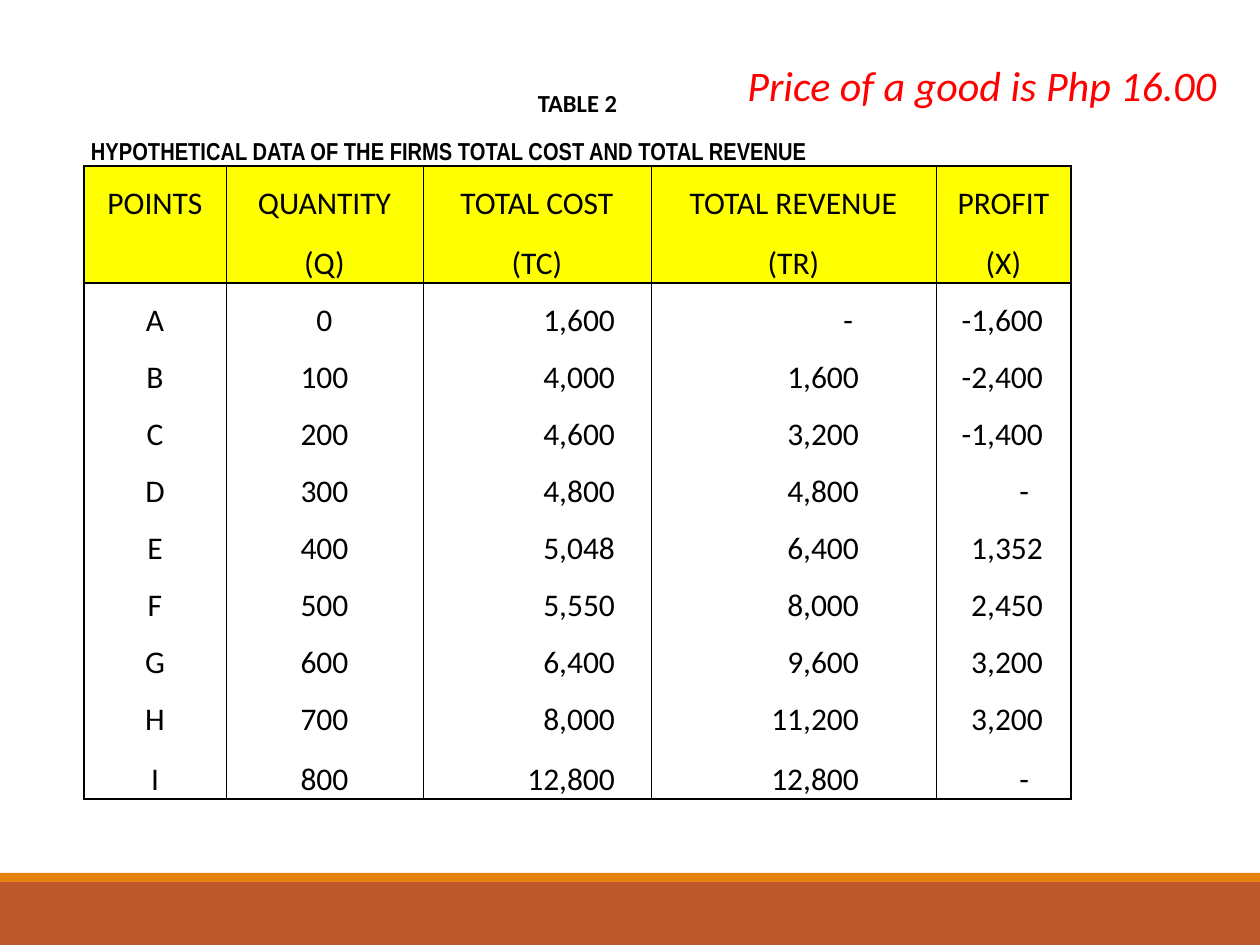
import pptx
import pptx.dml.color
import pptx.enum.shapes
import pptx.enum.text
import pptx.oxml
import pptx.oxml.ns
import pptx.util

ALIGN = pptx.enum.text.PP_ALIGN
PX = 914400 // 126

THEME = {
    "ink": "000000", "header": "FFFF00", "price": "FF0000",
    "band": "BD582C", "stripe": "E48312",
    "font": "Calibri", "narrow": "Arial Narrow",
    "caption_size": 14, "table_size": 18, "price_size": 24,
    "thin": 0.5, "thick": 1,
}

PRICE = "Price of a good is Php 16.00"
CAPTIONS = [
    ("TABLE 2", THEME["font"], ALIGN.CENTER, 1),
    ("HYPOTHETICAL DATA OF THE FIRMS TOTAL COST AND TOTAL REVENUE",
     THEME["narrow"], ALIGN.LEFT, 7),
]
HEADERS = [
    ["POINTS", "QUANTITY", "TOTAL COST", "TOTAL REVENUE", "PROFIT"],
    ["", "(Q)", "(TC)", "(TR)", "(X)"],
]
RECORDS = [
    ["A", "0", "1,600", "-", "-1,600"],
    ["B", "100", "4,000", "1,600", "-2,400"],
    ["C", "200", "4,600", "3,200", "-1,400"],
    ["D", "300", "4,800", "4,800", "-"],
    ["E", "400", "5,048", "6,400", "1,352"],
    ["F", "500", "5,550", "8,000", "2,450"],
    ["G", "600", "6,400", "9,600", "3,200"],
    ["H", "700", "8,000", "11,200", "3,200"],
    ["I", "800", "12,800", "12,800", "-"],
]

# Lengths in px: left, top, width, height
TABLE_BOX = (84, 73, 987, 727)
PRICE_BOX = (735, 53, 499, 63)
BARS = [((0, 882, 1260, 63), "band"), ((0, 873, 1260, 9), "stripe")]
COLUMN_WIDTHS = [142, 197, 228, 285, 135]
ROW_HEIGHTS = [46, 47, 57, 60] + [57] * 8 + [60]
FIGURE_INSETS = {2: 36, 3: 77, 4: 28}  # right inset of each figure column
DASH_INSETS = {3: 83, 4: 42}
FIRST_HEADER = len(CAPTIONS)
FIRST_RECORD = FIRST_HEADER + len(HEADERS)
LAST_ROW = len(ROW_HEIGHTS) - 1
LAST_COLUMN = len(COLUMN_WIDTHS) - 1


def emu(lengths):
    return [length * PX for length in lengths]


def colour(name):
    return pptx.dml.color.RGBColor.from_string(THEME[name])


def write(frame, text, font, size, ink="ink", align=ALIGN.LEFT, **formats):
    para = frame.paragraphs[0]
    para.alignment = align
    if not text:
        para.font.size = pptx.util.Pt(size)
        return
    span = para.add_run()
    span.text = text
    formats = {"name": font, "size": pptx.util.Pt(size), "bold": False, **formats}
    for key, value in formats.items():
        setattr(span.font, key, value)
    span.font.color.rgb = colour(ink)


def set_borders(cell, row, column):
    """Rule the columns thinly; frame the table and its header thickly."""
    thin, thick = THEME["thin"], THEME["thick"]
    in_grid = row >= FIRST_HEADER
    widths = {
        "L": in_grid and (thick if column == 0 else thin),
        "R": in_grid and (thick if column == LAST_COLUMN else thin),
        "T": row in (FIRST_HEADER, FIRST_RECORD) and thick,
        "B": row in (FIRST_HEADER - 1, FIRST_RECORD - 1, LAST_ROW) and thick,
    }
    properties = cell._tc.get_or_add_tcPr()
    for side, width in widths.items():
        paint = (f'<a:solidFill><a:srgbClr val="{THEME["ink"]}"/></a:solidFill>'
                 if width else "<a:noFill/>")
        properties.append(pptx.oxml.parse_xml(
            f'<a:ln{side} {pptx.oxml.ns.nsdecls("a")} w="{int(width * 12700)}">'
            f"{paint}</a:ln{side}>"))


def format_cell(cell, row, column):
    set_borders(cell, row, column)
    if FIRST_HEADER <= row < FIRST_RECORD:
        cell.fill.solid()
        cell.fill.fore_color.rgb = colour("header")
    else:
        cell.fill.background()
    margins = {"margin_left": PX, "margin_right": PX, "margin_top": PX,
               "margin_bottom": 0,
               "vertical_anchor": pptx.enum.text.MSO_ANCHOR.BOTTOM}
    for key, value in margins.items():
        setattr(cell, key, value)


def add_data_table(page):
    table = page.shapes.add_table(
        len(ROW_HEIGHTS), len(COLUMN_WIDTHS), *emu(TABLE_BOX)).table
    table.first_row = table.horz_banding = False
    for column, width in zip(table.columns, emu(COLUMN_WIDTHS)):
        column.width = width
    for row, height in zip(table.rows, emu(ROW_HEIGHTS)):
        row.height = height
    for row in range(len(ROW_HEIGHTS)):
        for column in range(len(COLUMN_WIDTHS)):
            format_cell(table.cell(row, column), row, column)

    for row, (text, font, align, inset) in enumerate(CAPTIONS):
        cell = table.cell(row, 0)
        cell.merge(table.cell(row, LAST_COLUMN))
        cell.margin_left = inset * PX
        write(cell.text_frame, text, font, THEME["caption_size"],
              align=align, bold=True)

    for row, values in enumerate(HEADERS + RECORDS, FIRST_HEADER):
        for column, text in enumerate(values):
            cell = table.cell(row, column)
            align = ALIGN.CENTER
            if row >= FIRST_RECORD and column in FIGURE_INSETS:
                align = ALIGN.RIGHT
                insets = DASH_INSETS if text == "-" else FIGURE_INSETS
                cell.margin_right = insets[column] * PX
            write(cell.text_frame, text, THEME["font"], THEME["table_size"],
                  align=align)


def main():
    deck = pptx.Presentation()
    deck.slide_width, deck.slide_height = emu((1260, 945))
    page = deck.slides.add_slide(deck.slide_layouts[6])

    for place, name in BARS:
        bar = page.shapes.add_shape(
            pptx.enum.shapes.MSO_SHAPE.RECTANGLE, *emu(place))
        bar.shadow.inherit = False
        bar.fill.solid()
        bar.fill.fore_color.rgb = colour(name)
        bar.line.fill.background()

    add_data_table(page)

    box = page.shapes.add_textbox(*emu(PRICE_BOX))
    box.text_frame.word_wrap = False
    box.text_frame.auto_size = pptx.enum.text.MSO_AUTO_SIZE.SHAPE_TO_FIT_TEXT
    write(box.text_frame, PRICE, THEME["font"], THEME["price_size"],
          ink="price", italic=True)

    deck.save("out.pptx")


if __name__ == "__main__":
    main()
